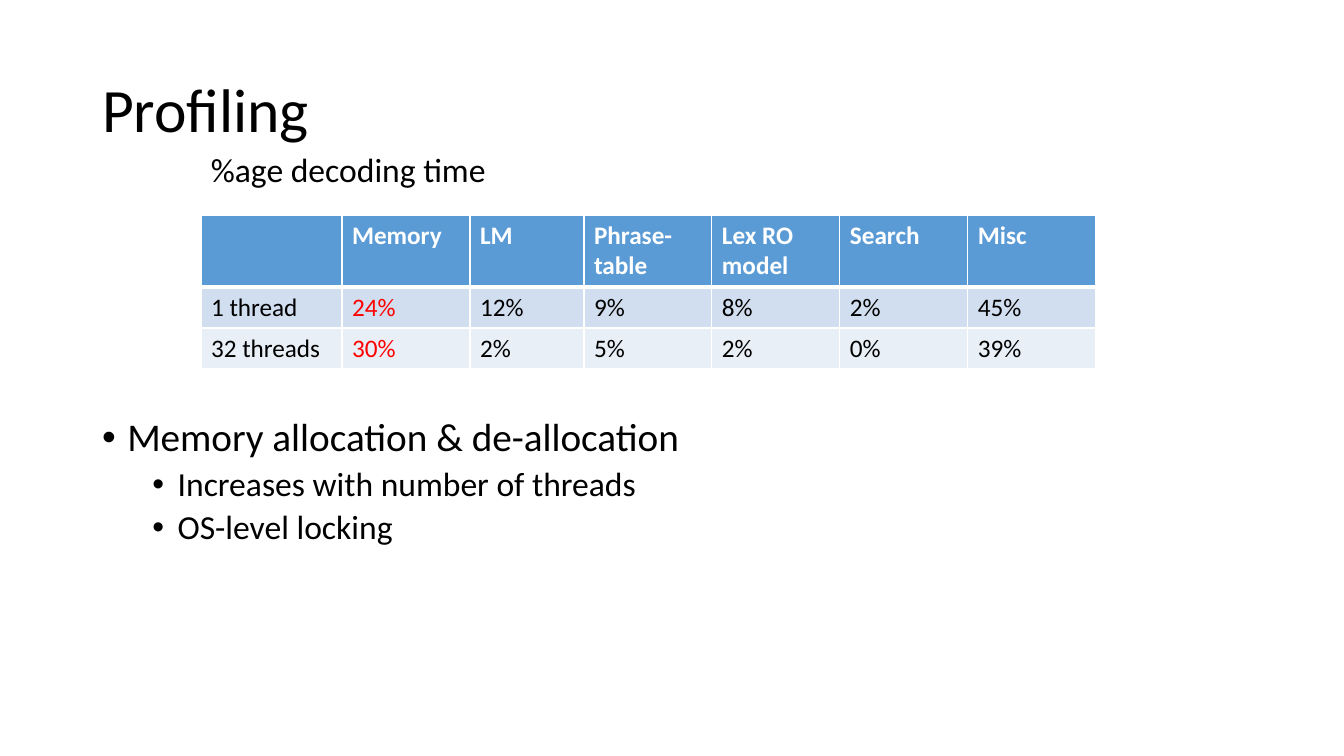
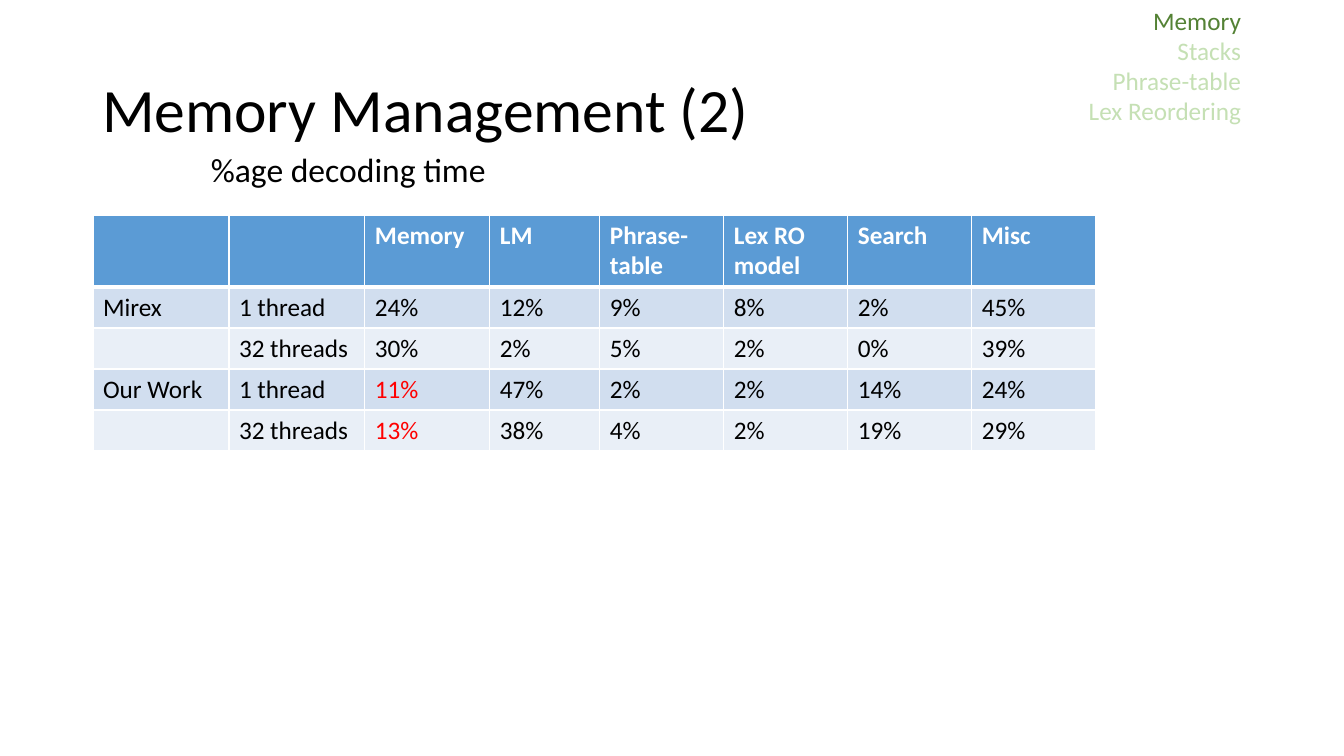
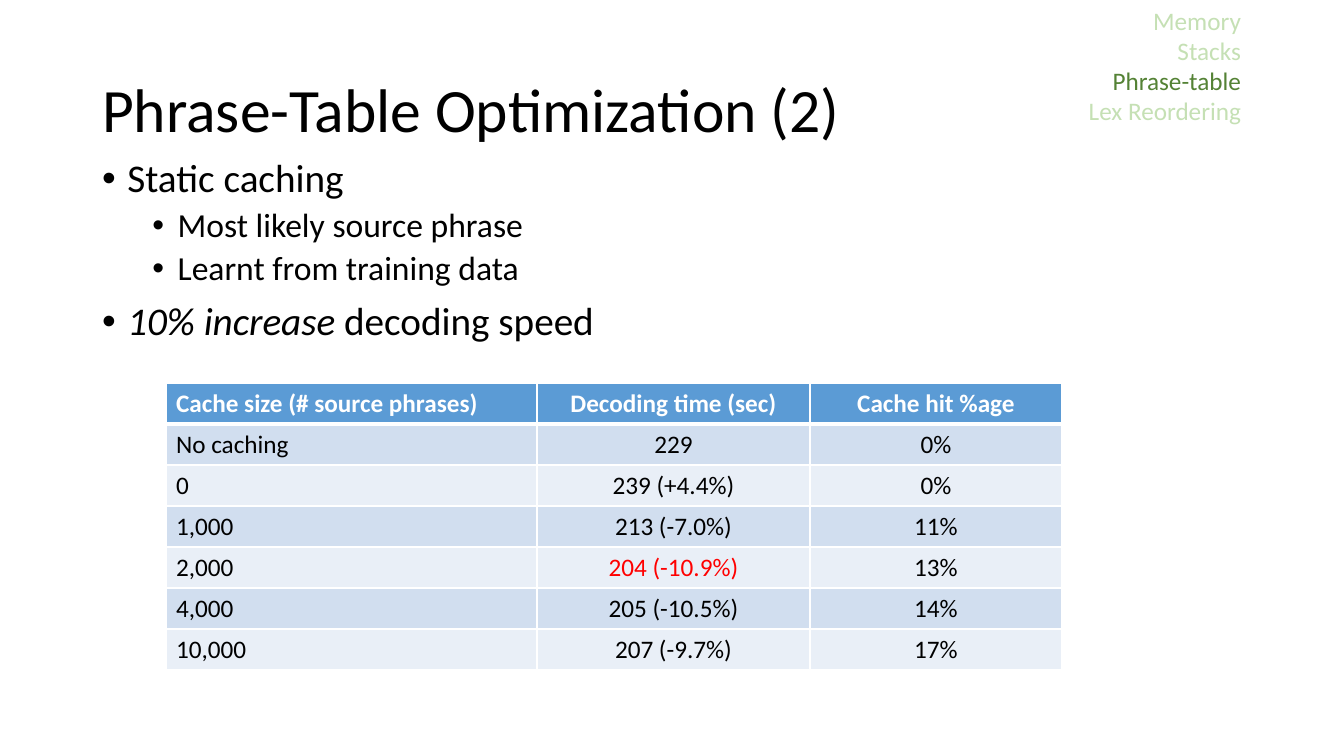
"""Build three slides on decoder profiling, memory management and phrase-table caching."""
from lxml.etree import SubElement
from pptx import Presentation
from pptx.dml.color import RGBColor
from pptx.enum.text import MSO_ANCHOR as ANCHOR, MSO_AUTO_SIZE as FIT, PP_ALIGN as ALIGN
from pptx.oxml import parse_xml
from pptx.oxml.ns import nsdecls, qn
from pptx.util import Pt

FONT = "Calibri"
BLACK = RGBColor(0x00, 0x00, 0x00)
WHITE = RGBColor(0xFF, 0xFF, 0xFF)
RED = RGBColor(0xFF, 0x00, 0x00)
BLUE = RGBColor(0x5B, 0x9B, 0xD5)
BANDS = (RGBColor(0xD1, 0xDE, 0xEF), RGBColor(0xE9, 0xEF, 0xF7))
GREEN = RGBColor(0x54, 0x82, 0x35)
PALE_GREEN = RGBColor(0xC5, 0xE0, 0xB4)

SCALE = 914400 / 100.8
SLIDE_SIZE = (1344, 756)
TITLE_BOX = (92, 40, 1160, 146)
CAPTION_BOX = (201, 144, 318, 50)
TOPICS_BOX = (1064, 0, 187, 131)
ROW_HEIGHT = 41
TITLE_ONLY, TITLE_AND_BODY = 5, 1

CAPTION = "%age decoding time"
TOPICS = ("Memory", "Stacks", "Phrase-table", "Lex Reordering")
STAGES = ("Memory", "LM", "Phrase-table", "Lex RO model", "Search", "Misc")
ONE_THREAD = ("1 thread", "24%", "12%", "9%", "8%", "2%", "45%")
MANY_THREADS = ("32 threads", "30%", "2%", "5%", "2%", "0%", "39%")

SLIDES = [
    {
        "title": "Profiling",
        "caption": CAPTION,
        "table": {
            "at": (201, 215), "widths": (141, 128, 114, 128, 128, 128, 128),
            "header_height": 72, "red": {(1, 1), (2, 1)}, "centred": (),
            "rows": [("",) + STAGES, ONE_THREAD, MANY_THREADS],
        },
        "body_box": (92, 413, 1160, 268),
        "body": [
            (0, [("Memory allocation & de-allocation", False)]),
            (1, [("Increases with number of threads", False)]),
            (1, [("OS-level locking", False)]),
        ],
    },
    {
        "title": "Memory Management (2)",
        "caption": CAPTION,
        "topic": "Memory",
        "table": {
            "at": (93, 215), "widths": (136, 136, 125, 110, 124, 124, 124, 124),
            "header_height": 72, "red": {(3, 2), (4, 2)}, "centred": (),
            "rows": [
                ("", "") + STAGES,
                ("Mirex",) + ONE_THREAD,
                ("",) + MANY_THREADS,
                ("Our Work", "1 thread", "11%", "47%", "2%", "2%", "14%", "24%"),
                ("", "32 threads", "13%", "38%", "4%", "2%", "19%", "29%"),
            ],
        },
    },
    {
        "title": "Phrase-Table Optimization (2)",
        "topic": "Phrase-table",
        "body_box": (92, 154, 1160, 480),
        "body": [
            (0, [("Static caching", False)]),
            (1, [("Most likely source phrase", False)]),
            (1, [("Learnt from training data", False)]),
            (0, [("10% increase ", True), ("decoding speed", False)]),
        ],
        "table": {
            "at": (166, 383), "widths": (371, 273, 252),
            "header_height": ROW_HEIGHT, "red": {(4, 1)}, "centred": (1, 2),
            "rows": [
                ("Cache size (# source phrases)", "Decoding time (sec)", "Cache hit %age"),
                ("No caching", "229", "0%"),
                ("0", "239 (+4.4%)", "0%"),
                ("1,000", "213 (-7.0%)", "11%"),
                ("2,000", "204 (-10.9%)", "13%"),
                ("4,000", "205 (-10.5%)", "14%"),
                ("10,000", "207 (-9.7%)", "17%"),
            ],
        },
    },
]


def px(n):
    return round(n * SCALE)


def place(sp, box):
    sp.left, sp.top, sp.width, sp.height = map(px, box)


def style(p, size, color=BLACK, bold=False, align=ALIGN.LEFT):
    p.alignment = align
    for r in p.runs:
        r.font.name, r.font.size, r.font.bold = FONT, Pt(size), bold
        r.font.color.rgb = color


def prepare(tf, anchor=ANCHOR.TOP):
    tf.word_wrap = True
    tf.auto_size = FIT.NONE
    tf.vertical_anchor = anchor


def add_title(s, text):
    sp = s.shapes.title
    place(sp, TITLE_BOX)
    prepare(sp.text_frame, ANCHOR.MIDDLE)
    sp.text_frame.text = text
    p = sp.text_frame.paragraphs[0]
    p.line_spacing = 0.9
    style(p, 44)


def add_body(s, box, items):
    sp = s.placeholders[1]
    place(sp, box)
    tf = sp.text_frame
    prepare(tf)
    for i, (level, parts) in enumerate(items):
        p = tf.add_paragraph() if i else tf.paragraphs[0]
        for text, italic in parts:
            r = p.add_run()
            r.text, r.font.italic = text, italic
        p.level, p.line_spacing = level, 0.9
        p.space_before = Pt(5 if level else 10)
        style(p, 24 if level else 28)
        pPr = p._p.get_or_add_pPr()
        pPr.set("marL", str(Pt(54 if level else 18)))
        pPr.set("indent", str(-Pt(18)))
        SubElement(pPr, qn("a:buFont")).set("typeface", "Arial")
        SubElement(pPr, qn("a:buChar")).set("char", "•")


def add_text(s, box, lines, size, align=ALIGN.LEFT):
    tf = s.shapes.add_textbox(*map(px, box)).text_frame
    prepare(tf)
    tf.text = "\n".join(text for text, color in lines)
    for p, (text, color) in zip(tf.paragraphs, lines):
        style(p, size, color, align=align)


def set_borders(cell, row):
    widths = {"L": 0.96, "R": 0.96, "T": 3 if row == 1 else 0.96, "B": 0.96 if row else 3}
    tcPr = cell._tc.get_or_add_tcPr()
    for i, (side, width) in enumerate(widths.items()):
        tcPr.insert(i, parse_xml(
            f'<a:ln{side} {nsdecls("a")} w="{Pt(width)}"><a:solidFill>'
            f'<a:srgbClr val="{WHITE}"/></a:solidFill></a:ln{side}>'))


def add_table(s, at, widths, header_height, red, centred, rows):
    heights = [header_height] + [ROW_HEIGHT] * (len(rows) - 1)
    box = (*at, sum(widths), sum(heights))
    table = s.shapes.add_table(len(rows), len(widths), *map(px, box)).table
    for column, width in zip(table.columns, widths):
        column.width = px(width)
    for i, row in enumerate(rows):
        table.rows[i].height = px(heights[i])
        for j, text in enumerate(row):
            cell = table.cell(i, j)
            cell.text = text
            cell.fill.solid()
            cell.fill.fore_color.rgb = BANDS[(i - 1) % 2] if i else BLUE
            color = RED if (i, j) in red else BLACK if i else WHITE
            style(cell.text_frame.paragraphs[0], 18, color, i == 0,
                  ALIGN.CENTER if j in centred else ALIGN.LEFT)
            set_borders(cell, i)


prs = Presentation()
prs.slide_width, prs.slide_height = map(px, SLIDE_SIZE)
for content in SLIDES:
    layout = TITLE_AND_BODY if "body" in content else TITLE_ONLY
    s = prs.slides.add_slide(prs.slide_layouts[layout])
    add_title(s, content["title"])
    if "body" in content:
        add_body(s, content["body_box"], content["body"])
    add_table(s, **content["table"])
    if "caption" in content:
        add_text(s, CAPTION_BOX, [(content["caption"], BLACK)], 24)
    if "topic" in content:
        topics = [(t, GREEN if t == content["topic"] else PALE_GREEN) for t in TOPICS]
        add_text(s, TOPICS_BOX, topics, 18, ALIGN.RIGHT)
prs.save("out.pptx")
